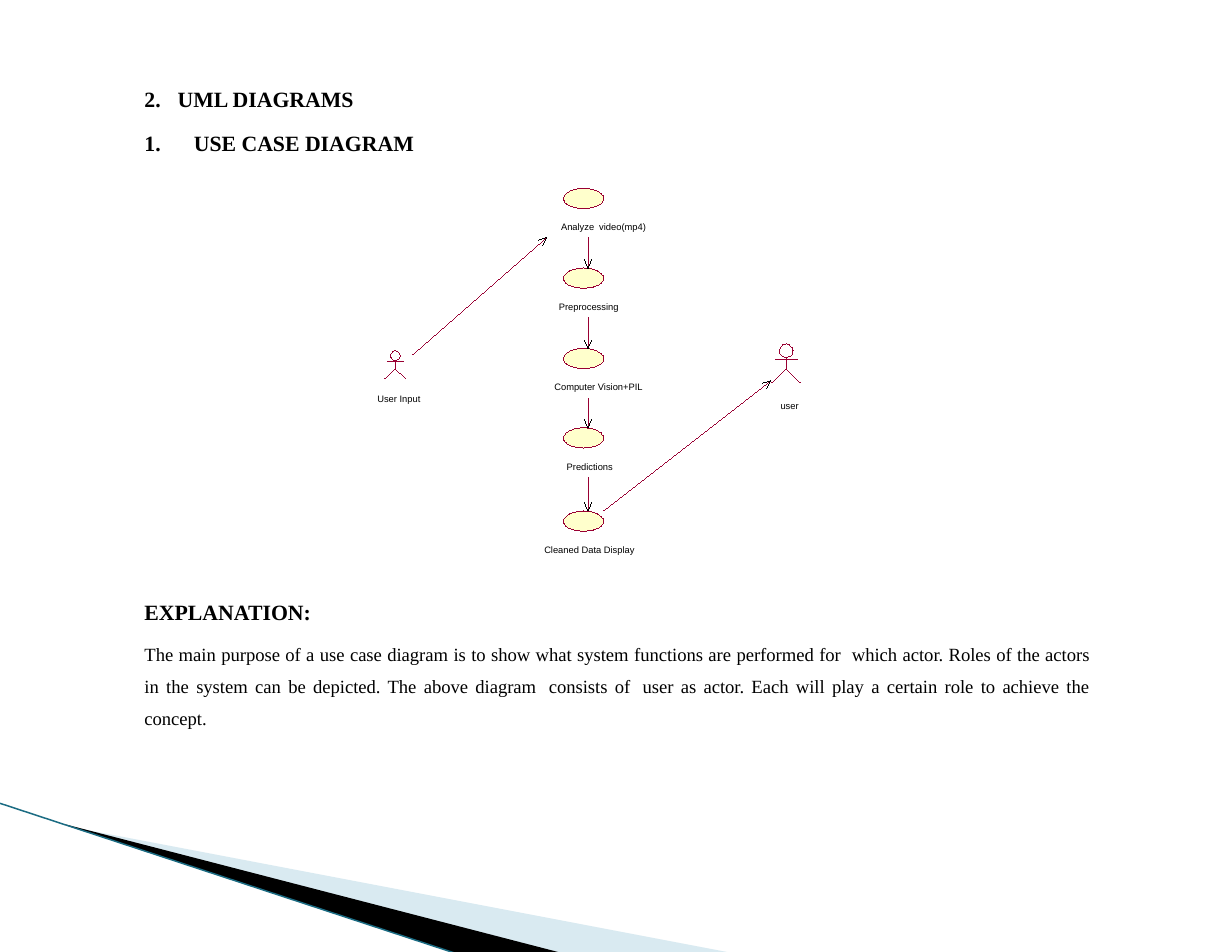
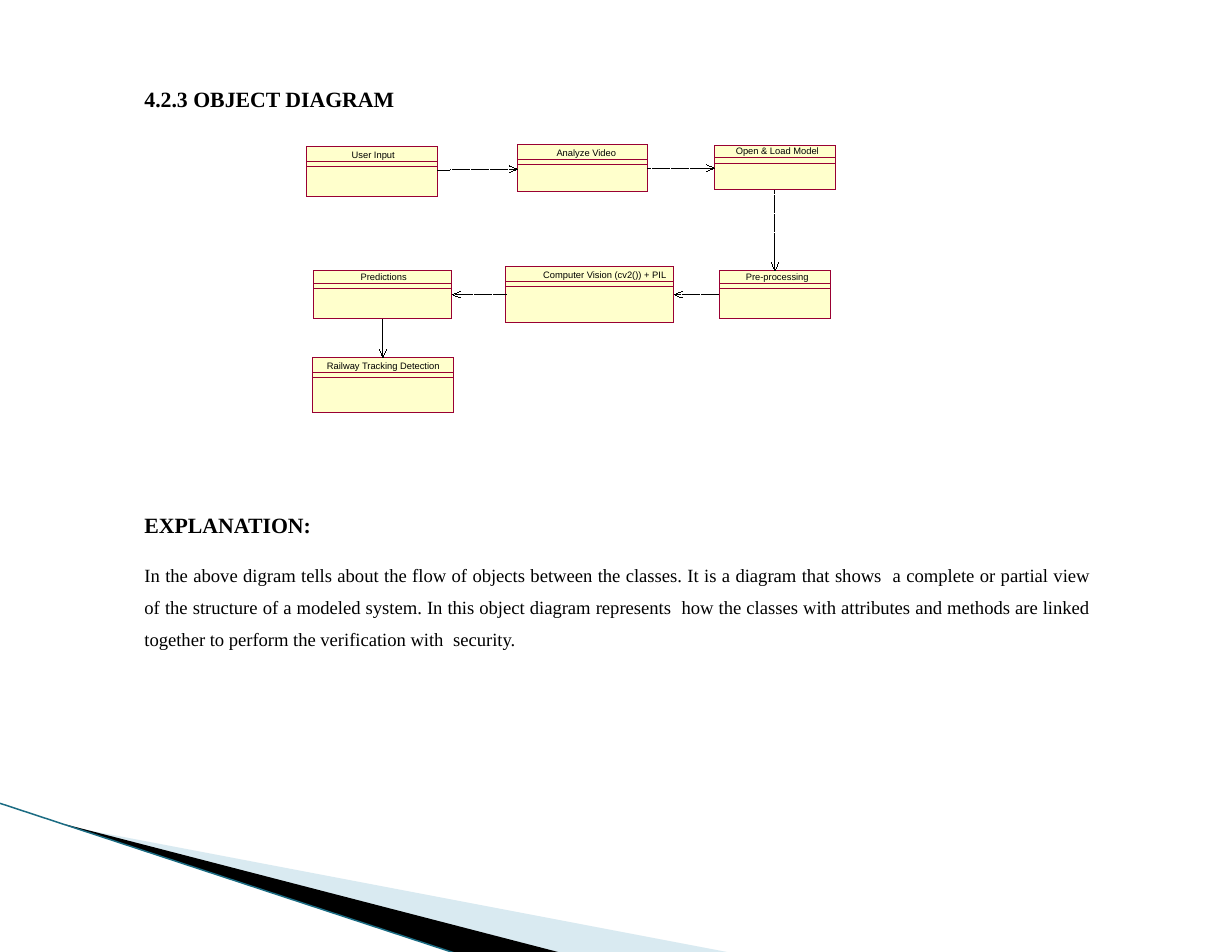
import math
from dataclasses import dataclass

import pptx
import pptx.dml.color
import pptx.enum.dml
import pptx.enum.shapes
import pptx.enum.text
import pptx.oxml
import pptx.oxml.ns
import pptx.util

Pt = pptx.util.Pt
RGBColor = pptx.dml.color.RGBColor
Shape = pptx.enum.shapes.MSO_SHAPE
Align = pptx.enum.text.PP_ALIGN
Point = tuple[float, float]

BLACK = RGBColor(0x00, 0x00, 0x00)
CRIMSON = RGBColor(0x99, 0x00, 0x33)
CREAM = RGBColor(0xFF, 0xFF, 0xCC)
PALE_BLUE = RGBColor(0xA0, 0xCB, 0xDC)
TEAL = RGBColor(0x1B, 0x6C, 0x83)
SERIF, SANS = "Times New Roman", "Arial"
HAIRLINE = 0.01
TEXT_LEFT, TEXT_WIDTH, HEADING_TOP, TOP_INSET = 92.9, 607.7, 54, 1.3
LABEL_HEIGHT = 7.5
WIDE_SPACE = "|"  # marks a word space of double width


@dataclass(frozen=True)
class Label:
    text: str
    left: float
    width: float


@dataclass(frozen=True)
class Actor:
    label: Label
    label_top: float
    center: float
    top: float
    height: float


@dataclass(frozen=True)
class UseCase:
    label: Label
    top: float


@dataclass(frozen=True)
class ObjectBox:
    label: Label
    left: float
    top: float
    width: float
    height: float
    header: float


@dataclass(frozen=True)
class Arrow:
    start: Point
    end: Point


ACTORS = [
    Actor(Label("User Input", 242.6, 30.2), 252.7, 254.2, 225.4, 18),
    Actor(Label("user", 501.8, 14.4), 257, 505.4, 221, 25.2),
]
CASE_LEFT, CASE_WIDTH, CASE_HEIGHT = 362.2, 25.9, 13
CASE_LABEL_DROP, CASE_ARROW_DROP, CASE_ARROW_X = 21.2, 32, 378
USE_CASES = [
    UseCase(Label("Analyze|video(mp4)", 360.7, 55.4), 121),
    UseCase(Label("Preprocessing", 359.3, 41), 172.3),
    UseCase(Label("Computer Vision+PIL", 356.4, 57.6), 223.9),
    UseCase(Label("Predictions", 364.3, 32.4), 275),
    UseCase(Label("Cleaned Data Display", 349.9, 60.5), 328.5),
]
ACTOR_ARROWS = [
    Arrow((265, 228.2), (351.4, 152.6)),
    Arrow((388.1, 328.3), (495.4, 244.8)),
]
OBJECT_BOXES = [
    ObjectBox(Label("User Input", 226.1, 30.2), 196.9, 94.3, 84.2, 32.1, 9.4),
    ObjectBox(Label("Analyze Video", 357.8, 38.9), 332.6, 92.9, 83.5, 30.2, 9.4),
    ObjectBox(Label("Open & Load Model", 473, 56.2), 459.4, 93.6, 77.8, 28.4, 8),
    ObjectBox(Label("Pre-processing", 479.5, 43.2), 462.5, 174.2, 71.3, 30.5, 8),
    ObjectBox(Label("Computer Vision (cv2()) + PIL", 349.2, 79.9),
              325.1, 171.4, 107.6, 36, 9.4),
    ObjectBox(Label("Predictions", 231.8, 32.4), 201.6, 173.8, 88.6, 31.2, 8.3),
    ObjectBox(Label("Railway Tracking Detection", 210.2, 72.7),
              200.9, 229.7, 90.7, 35.3, 9.8),
]
SECOND_RULE_GAP, LABEL_RISE = 3.5, 8
OBJECT_ARROWS = [
    Arrow((281.5, 109.4), (332.6, 108.7)),
    Arrow((416.2, 108), (459.4, 108)),
    Arrow((498.2, 122.4), (498.2, 174.2)),
    Arrow((462.2, 189.4), (433.4, 189.4)),
    Arrow((325.4, 189.4), (290.9, 189.4)),
    Arrow((246.2, 205.2), (246.2, 229.7)),
]

USE_CASE_TEXT = (
    "The main purpose of a use case diagram is to show what system functions are "
    "performed for|which actor. Roles of the actors in the system can be depicted. "
    "The above diagram|consists of|user as actor. Each will play a certain role to "
    "achieve the concept."
)
OBJECT_TEXT = (
    "In the above digram tells about the flow of objects between the classes. It is a "
    "diagram that shows|a complete or partial view of the structure of a modeled "
    "system. In this object diagram represents|how the classes with attributes and "
    "methods are linked together to perform the verification with|security."
)


def add_box(page, left: float, top: float, width: float, height: float,
            *, wrap: bool = True, top_inset: float = TOP_INSET):
    box = page.shapes.add_textbox(Pt(left), Pt(top), Pt(width), Pt(height))
    frame = box.text_frame
    frame.word_wrap = wrap
    frame.auto_size = pptx.enum.text.MSO_AUTO_SIZE.SHAPE_TO_FIT_TEXT
    frame.margin_left = frame.margin_right = frame.margin_bottom = 0
    frame.margin_top = Pt(top_inset)
    return frame


def add_text(frame, text: str, *, size: float, font: str = SERIF, bold: bool = False,
             align=Align.LEFT, before: float = 0, line_spacing: float | None = None,
             tracking: int = 0, level: int = 0, number: int | None = None,
             indent: float = 0) -> None:
    """Fill the empty first paragraph, or append one; tracking is in 1/100 point."""
    para = frame.paragraphs[0]
    if para.runs:
        para = frame.add_paragraph()
        para.space_before = Pt(before)
    para.alignment = align
    para.level = level
    if line_spacing:
        para.line_spacing = line_spacing
    if number:
        properties = para._p.get_or_add_pPr()
        properties.set("marL", str(Pt(indent)))
        properties.set("indent", str(-Pt(indent)))
        properties.append(pptx.oxml.parse_xml(
            f'<a:buAutoNum {pptx.oxml.ns.nsdecls("a")} '
            f'type="arabicPeriod" startAt="{number}"/>'))
    pieces = [(text_part, tracking) for text_part in text.split(WIDE_SPACE)]
    spans = [pieces[0]]
    for piece in pieces[1:]:
        spans += [(" ", int(size * 25)), piece]
    for words, spacing in spans:
        span = para.add_run()
        span.text = words
        span.font.name = font
        span.font.size = Pt(size)
        span.font.bold = bold
        span.font.color.rgb = BLACK
        if spacing:
            span._r.get_or_add_rPr().set("spc", str(spacing))


def add_heading(frame, text: str, **text_format) -> None:
    add_text(frame, text, size=14, bold=True, tracking=-4, **text_format)


def add_explanation(page, top: float, height: float, text: str, before: float) -> None:
    frame = add_box(page, TEXT_LEFT, top, TEXT_WIDTH, height)
    add_heading(frame, "EXPLANATION:")
    add_text(frame, text, size=12, align=Align.JUSTIFY, before=before,
             line_spacing=1.43, tracking=-3)


def add_label(page, label: Label, top: float) -> None:
    frame = add_box(page, label.left, top, label.width, LABEL_HEIGHT,
                    wrap=False, top_inset=0)
    add_text(frame, label.text, size=6, font=SANS)


def style_shape(shape, fill: RGBColor | None, line: RGBColor | None) -> None:
    shape.shadow.inherit = False
    if fill is None:
        shape.fill.background()
    else:
        shape.fill.solid()
        shape.fill.fore_color.rgb = fill
    if line is None:
        shape.line.fill.background()
    else:
        shape.line.color.rgb = line
        shape.line.width = Pt(HAIRLINE)


def add_outlined(page, kind, left: float, top: float, width: float, height: float,
                 fill: RGBColor | None = None) -> None:
    shape = page.shapes.add_shape(kind, Pt(left), Pt(top), Pt(width), Pt(height))
    style_shape(shape, fill, CRIMSON)


def add_freeform(page, points: list[Point], *, closed: bool,
                 fill: RGBColor | None = None, line: RGBColor | None = None):
    corners = [(Pt(x), Pt(y)) for x, y in points]
    builder = page.shapes.build_freeform(*corners[0], scale=1.0)
    builder.add_line_segments(corners[1:], close=closed)
    shape = builder.convert_to_shape()
    style_shape(shape, fill, line)
    return shape


def add_line(page, start: Point, end: Point, color: RGBColor,
             *, width: float = HAIRLINE, dash=None) -> None:
    line = page.shapes.add_connector(pptx.enum.shapes.MSO_CONNECTOR.STRAIGHT,
                                     *(Pt(value) for value in (*start, *end)))
    line.line.color.rgb = color
    line.line.width = Pt(width)
    if dash is not None:
        line.line.dash_style = dash
    line._element.spPr.append(
        pptx.oxml.parse_xml(f'<a:effectLst {pptx.oxml.ns.nsdecls("a")}/>'))


def add_arrow(page, arrow: Arrow, color: RGBColor, dash=None) -> None:
    """Draw a hairline shaft with a thin black open head of two strokes."""
    add_line(page, arrow.start, arrow.end, color, dash=dash)
    tip_x, tip_y = arrow.end
    back = math.atan2(arrow.start[1] - tip_y, arrow.start[0] - tip_x)
    for spread in (-0.4, 0.4):
        barb = (tip_x + 5.6 * math.cos(back + spread),
                tip_y + 5.6 * math.sin(back + spread))
        add_line(page, arrow.end, barb, BLACK)


def add_corner_bands(page) -> None:
    pale = add_freeform(page, [(43.2, 531.2), (470.9, 612.7), (360.7, 612.7),
                               (43.2, 530.6)], closed=True, fill=PALE_BLUE)
    color = pale.fill._xPr.find(".//" + pptx.oxml.ns.qn("a:srgbClr"))
    color.append(pptx.oxml.parse_xml(
        f'<a:alpha {pptx.oxml.ns.nsdecls("a")} val="40000"/>'))
    add_freeform(page, [(41.8, 529.9), (361.4, 612.7), (294.5, 613.4),
                        (42.5, 530.6)], closed=True, fill=BLACK)
    add_line(page, (-0.7, 516.2), (294.5, 613.4), TEAL, width=0.95)


def add_actor(page, actor: Actor) -> None:
    center, top, height = actor.center, actor.top, actor.height
    head = 0.35 * height
    arms_y, hips_y = top + 0.4 * height, top + 0.64 * height
    arm, leg = 0.28 * height, 0.375 * height
    add_outlined(page, Shape.OVAL, center - head / 2, top, head, head)
    add_line(page, (center, top + head), (center, hips_y), CRIMSON)
    add_line(page, (center - arm, arms_y), (center + arm, arms_y), CRIMSON)
    add_freeform(page, [(center - leg, top + height), (center, hips_y),
                        (center + leg, top + height)], closed=False, line=CRIMSON)
    add_label(page, actor.label, actor.label_top)


def add_object_box(page, box: ObjectBox) -> None:
    add_outlined(page, Shape.RECTANGLE, box.left, box.top, box.width, box.height, CREAM)
    add_label(page, box.label, box.top + box.header - LABEL_RISE)
    for drop in (box.header, box.header + SECOND_RULE_GAP):
        add_outlined(page, Shape.RECTANGLE, box.left, box.top + drop,
                     box.width, box.height - drop)


def add_page(deck):
    page = deck.slides.add_slide(deck.slide_layouts[6])
    add_corner_bands(page)
    return page


def build_use_case_page(deck) -> None:
    page = add_page(deck)
    frame = add_box(page, TEXT_LEFT, HEADING_TOP, 226.8, 46.8)
    add_heading(frame, "UML DIAGRAMS", level=1, number=2, indent=21.3)
    add_heading(frame, "USE CASE DIAGRAM", level=2, number=1, indent=31.7, before=11.5)
    add_explanation(page, 383.8, 85.7, USE_CASE_TEXT, before=5)
    for actor in ACTORS:
        add_actor(page, actor)
    for case in USE_CASES:
        add_outlined(page, Shape.OVAL, CASE_LEFT, case.top, CASE_WIDTH, CASE_HEIGHT, CREAM)
        add_label(page, case.label, case.top + CASE_LABEL_DROP)
    steps = [Arrow((CASE_ARROW_X, case.top + CASE_ARROW_DROP), (CASE_ARROW_X, following.top))
             for case, following in zip(USE_CASES, USE_CASES[1:])]
    for arrow in steps + ACTOR_ARROWS:
        add_arrow(page, arrow, CRIMSON)


def build_object_page(deck) -> None:
    page = add_page(deck)
    add_heading(add_box(page, TEXT_LEFT, HEADING_TOP, 211, 18), "4.2.3 OBJECT DIAGRAM")
    add_explanation(page, 327.6, 92.2, OBJECT_TEXT, before=10.8)
    for box in OBJECT_BOXES:
        add_object_box(page, box)
    for arrow in OBJECT_ARROWS:
        add_arrow(page, arrow, BLACK, dash=pptx.enum.dml.MSO_LINE.SQUARE_DOT)


def main() -> None:
    deck = pptx.Presentation()
    deck.slide_width, deck.slide_height = Pt(792), Pt(612)
    build_use_case_page(deck)
    build_object_page(deck)
    deck.save("out.pptx")


if __name__ == "__main__":
    main()
